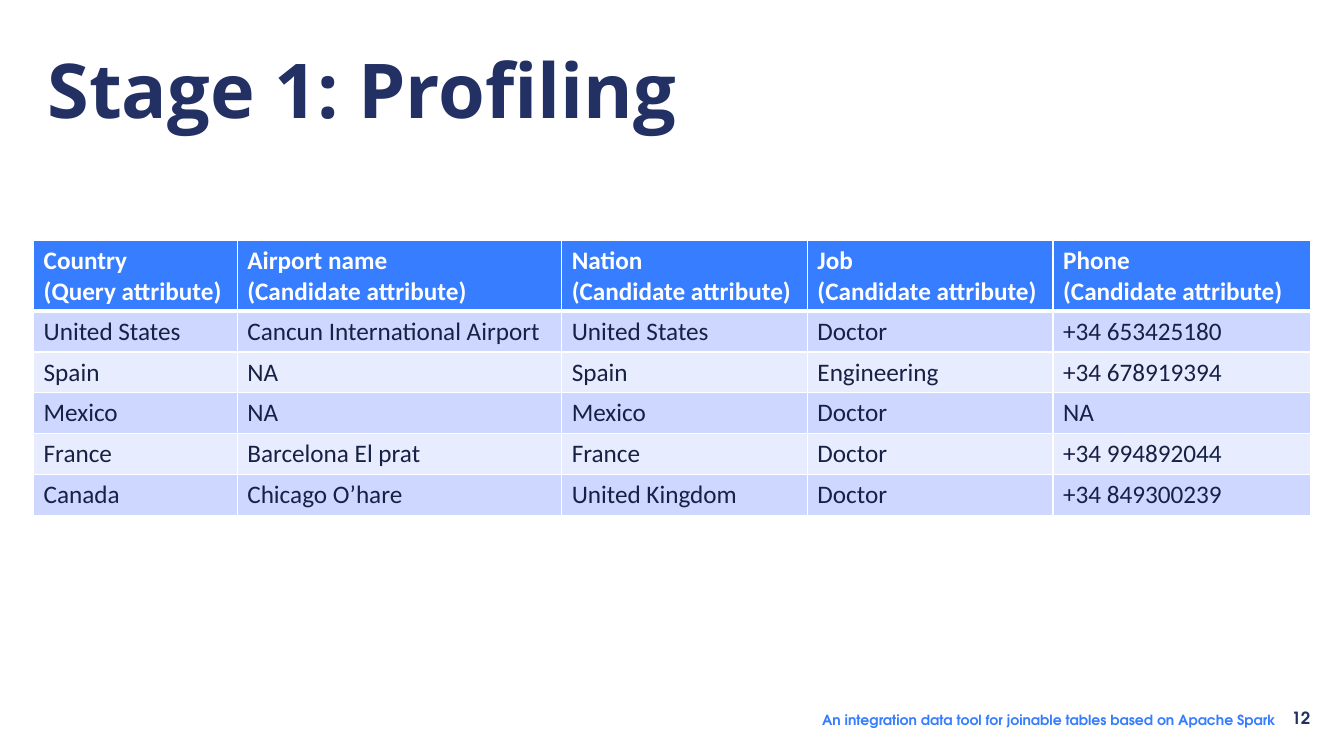
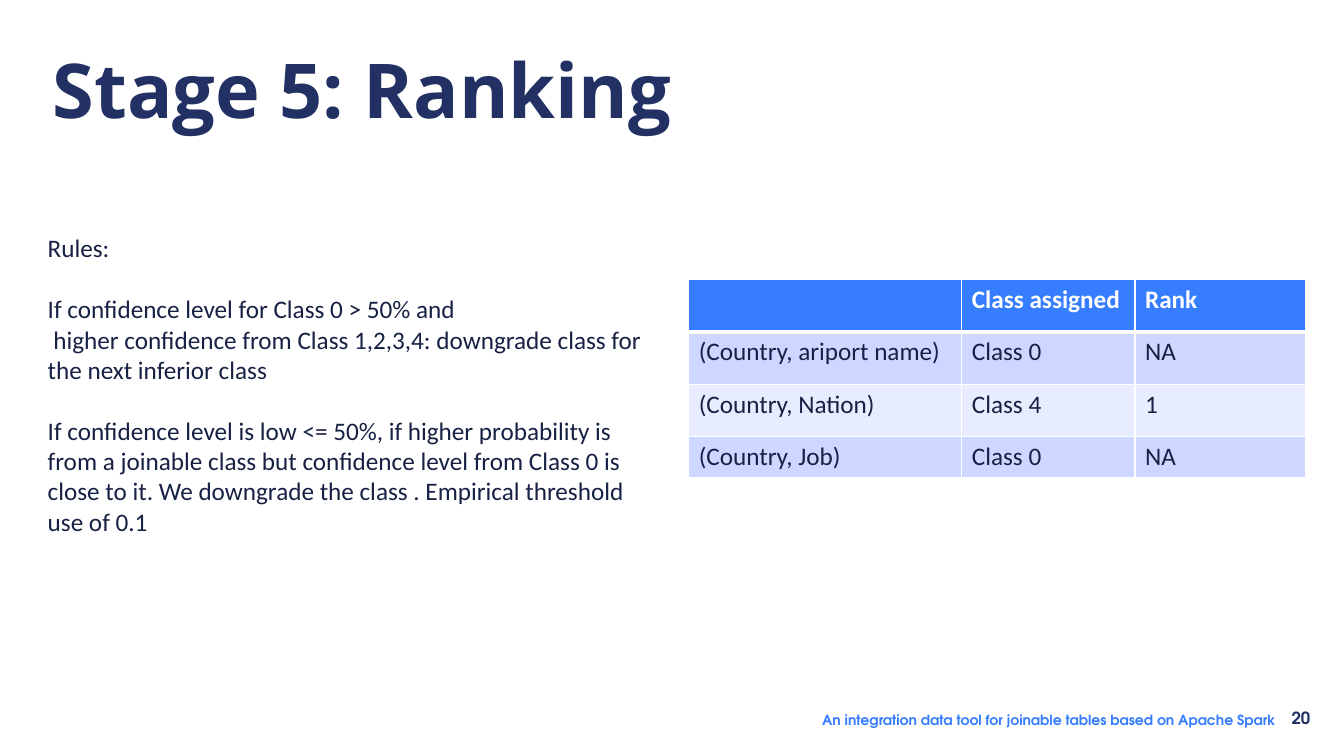
from dataclasses import dataclass

from lxml.etree import SubElement
from pptx import Presentation
from pptx.dml.color import RGBColor
from pptx.enum.text import MSO_ANCHOR, PP_ALIGN
from pptx.oxml.ns import qn
from pptx.util import Emu, Pt

EMU_PER_PX = 9525


@dataclass(frozen=True)
class Theme:
    navy: str = "223063"
    ink: str = "172144"
    blue: str = "377DFF"
    white: str = "FFFFFF"
    bands: tuple = ("CED7FF", "E8ECFF")
    title_font: str = "Open Sans"
    body_font: str = "Calibri"
    footer_font: str = "TeX Gyre Adventor"
    title_size: int = 54
    body_size: int = 18
    footer_size: int = 10
    number_size: int = 12
    paragraph_gap: int = 22
    border: int = 1
    header_border: int = 3


@dataclass(frozen=True)
class Box:
    left: int
    top: int
    width: int
    height: int

    def emu(self):
        return [px(n) for n in (self.left, self.top, self.width, self.height)]


THEME = Theme()
PAGE = Box(0, 0, 1280, 720)
FOOTER_TEXT = "An integration data tool for joinable tables based on Apache Spark"


def px(length):
    return Emu(length * EMU_PER_PX)


def style_text(text_frame, font_name, size, color, bold=False):
    for paragraph in text_frame.paragraphs:
        for run in paragraph.runs:
            run.font.name = font_name
            run.font.size = Pt(size)
            run.font.bold = bold
            run.font.color.rgb = RGBColor.from_string(color)


def add_text(slide, box, text, font_name, size, color, bold=False, wrap=True,
             align=PP_ALIGN.LEFT, anchor=MSO_ANCHOR.TOP):
    text_frame = slide.shapes.add_textbox(*box.emu()).text_frame
    text_frame.word_wrap = wrap
    text_frame.vertical_anchor = anchor
    text_frame.text = text
    for paragraph in text_frame.paragraphs:
        paragraph.alignment = align
    style_text(text_frame, font_name, size, color, bold)
    return text_frame


# Title and footer
def add_title(slide, box, text):
    add_text(slide, box, text, THEME.title_font, THEME.title_size, THEME.navy,
             bold=True, align=PP_ALIGN.CENTER)


def add_footer(slide, box, number):
    number_width, number_height = 32, 31
    tagline_width, tagline_height = box.width - number_width, 26
    tagline = Box(box.left, box.top + 5, tagline_width, tagline_height)
    number_box = Box(box.left + tagline_width, box.top, number_width, number_height)
    tagline_frame = add_text(slide, tagline, FOOTER_TEXT, THEME.footer_font,
                             THEME.footer_size, THEME.blue, bold=True, wrap=False,
                             anchor=MSO_ANCHOR.MIDDLE)
    number_frame = add_text(slide, number_box, str(number), THEME.footer_font,
                            THEME.number_size, THEME.navy, bold=True, wrap=False,
                            align=PP_ALIGN.CENTER, anchor=MSO_ANCHOR.MIDDLE)
    for text_frame in (tagline_frame, number_frame):
        text_frame.margin_left = text_frame.margin_right = px(0)
        text_frame.margin_top = text_frame.margin_bottom = px(3)


# Banded table with white rules
def set_borders(cell, top, bottom):
    properties = cell._tc.get_or_add_tcPr()
    widths = {"L": THEME.border, "R": THEME.border, "T": top, "B": bottom}
    for side, width in widths.items():
        line = SubElement(properties, qn(f"a:ln{side}"), w=str(Pt(width)))
        fill = SubElement(line, qn("a:solidFill"))
        SubElement(fill, qn("a:srgbClr"), val=THEME.white)


def add_data_table(slide, box, column_widths, row_heights, rows):
    shape = slide.shapes.add_table(len(rows), len(column_widths), *box.emu())
    table = shape.table
    for column, width in zip(table.columns, column_widths):
        column.width = px(width)
    for index, (row, height, texts) in enumerate(zip(table.rows, row_heights, rows)):
        row.height = px(height)
        header = index == 0
        fill = THEME.blue if header else THEME.bands[(index - 1) % 2]
        color = THEME.white if header else THEME.ink
        top = THEME.header_border if index == 1 else THEME.border
        bottom = THEME.header_border if header else THEME.border
        for cell, text in zip(row.cells, texts):
            set_borders(cell, top, bottom)
            cell.fill.solid()
            cell.fill.fore_color.rgb = RGBColor.from_string(fill)
            cell.text_frame.text = text
            style_text(cell.text_frame, THEME.body_font, THEME.body_size, color, header)


# Ranking rules: each rule opens with a gap, its lines stay together
def add_rules(slide, box, rules):
    text = "\n".join("\n".join(lines) for lines in rules)
    text_frame = add_text(slide, box, text, THEME.body_font, THEME.body_size, THEME.ink)
    first = 0
    for lines in rules:
        if first:
            text_frame.paragraphs[first].space_before = Pt(THEME.paragraph_gap)
        first += len(lines)


def add_stage_slide(presentation, title, number):
    slide = presentation.slides.add_slide(presentation.slide_layouts[6])
    add_footer(slide, Box(783, 668, 472, 31), number)
    add_title(slide, Box(0, 36, 690, 97), title)
    return slide


def build_profiling(presentation):
    slide = add_stage_slide(presentation, "Stage 1: Profiling", 12)
    attributes = ["Airport name", "Nation", "Job", "Phone"]
    header = ["Country\n(Query attribute)"]
    header += [f"{name}\n(Candidate attribute)" for name in attributes]
    rows = [
        header,
        ["United States", "Cancun International Airport", "United States", "Doctor",
         "+34 653425180"],
        ["Spain", "NA", "Spain", "Engineering", "+34 678919394"],
        ["Mexico", "NA", "Mexico", "Doctor", "NA"],
        ["France", "Barcelona El prat", "France", "Doctor", "+34 994892044"],
        ["Canada", "Chicago O’hare", "United Kingdom", "Doctor", "+34 849300239"],
    ]
    add_data_table(slide, Box(32, 229, 1216, 262), [194, 309, 234, 234, 245],
                   [67] + [39] * 5, rows)


def build_ranking(presentation):
    slide = add_stage_slide(presentation, "Stage 5: Ranking", 20)
    rows = [
        ["", "Class assigned", "Rank"],
        ["(Country, ariport name)", "Class 0", "NA"],
        ["(Country, Nation)", "Class 4", "1"],
        ["(Country, Job)", "Class 0", "NA"],
    ]
    add_data_table(slide, Box(656, 266, 587, 189), [260, 165, 162],
                   [50] * 3 + [39], rows)
    rules = [
        ["Rules:"],
        ["If confidence level for Class 0 > 50% and",
         " higher confidence from Class 1,2,3,4: downgrade class for the next "
         "inferior class"],
        ["If confidence level is low <= 50%, if higher probability is from a joinable "
         "class but confidence level from Class 0 is close to it. We downgrade the "
         "class . Empirical threshold use of 0.1"],
    ]
    add_rules(slide, Box(36, 217, 588, 300), rules)


def main():
    presentation = Presentation()
    presentation.slide_width = px(PAGE.width)
    presentation.slide_height = px(PAGE.height)
    build_profiling(presentation)
    build_ranking(presentation)
    presentation.save("out.pptx")


if __name__ == "__main__":
    main()
